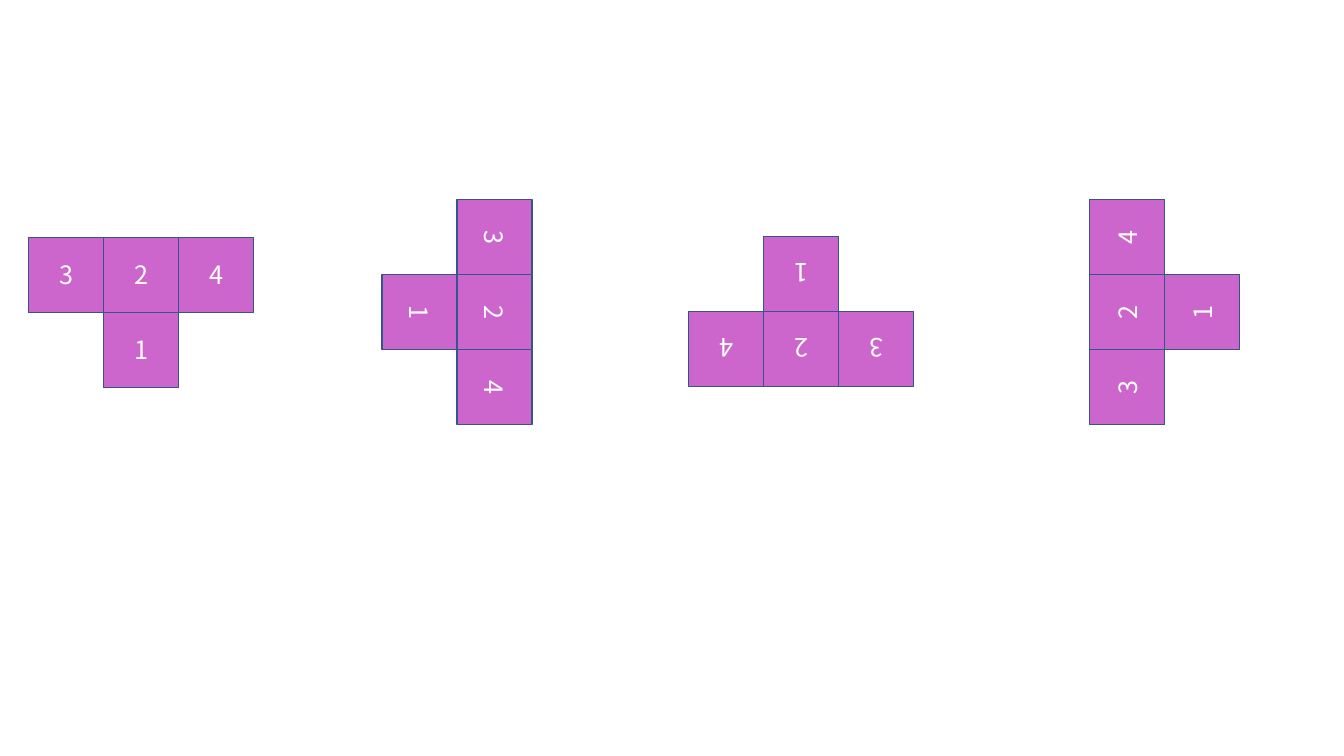
from pptx import Presentation
from pptx.dml.color import RGBColor
from pptx.enum.shapes import MSO_SHAPE
from pptx.enum.text import MSO_ANCHOR, PP_ALIGN
from pptx.util import Cm, Pt

COLORS = {"tile": "CC66CC", "outline": "325491", "digit": "FFFFFF"}
FONT = "Noto Sans CJK SC"
TILE = 1.89
OFFSETS_FROM_CENTER = {"3": (-1, 0), "1": (0, 1), "4": (1, 0), "2": (0, 0)}
PIECES = [(0.72, 5.98, 0), (27.46, 5.03, 3), (9.63, 5.03, 1), (17.35, 5.96, 2)]


def color(name):
    """Return the named colour."""
    return RGBColor.from_string(COLORS[name])


def add_tile(shapes, digit, left, top, angle):
    """Add one numbered square, turned by the angle in degrees."""
    tile = shapes.add_shape(MSO_SHAPE.RECTANGLE, Cm(left), Cm(top), Cm(TILE), Cm(TILE))
    tile.rotation = angle
    tile.shadow.inherit = False
    tile.fill.solid()
    tile.fill.fore_color.rgb = color("tile")
    tile.line.color.rgb = color("outline")
    tile.line.width = Pt(1)
    tile.text_frame.vertical_anchor = MSO_ANCHOR.MIDDLE
    paragraph = tile.text_frame.paragraphs[0]
    paragraph.alignment = PP_ALIGN.CENTER
    run = paragraph.add_run()
    run.text = digit
    run.font.size = Pt(18)
    run.font.name = FONT
    run.font.color.rgb = color("digit")


def add_t_piece(slide, left, top, quarter_turns):
    """Add a grouped T piece, turned clockwise, with its bounding box at left, top."""
    cells = dict(OFFSETS_FROM_CENTER)
    for _ in range(quarter_turns):
        cells = {digit: (-y, x) for digit, (x, y) in cells.items()}
    first_column = min(x for x, _ in cells.values())
    first_row = min(y for _, y in cells.values())
    group = slide.shapes.add_group_shape()
    for digit, (x, y) in cells.items():
        add_tile(group.shapes, digit, left + (x - first_column) * TILE,
                 top + (y - first_row) * TILE, 90 * quarter_turns)


def main():
    """Build the slide with the four rotations of the T piece."""
    deck = Presentation()
    deck.slide_width, deck.slide_height = Cm(33.87), Cm(19.05)
    slide = deck.slides.add_slide(deck.slide_layouts[6])
    for left, top, quarter_turns in PIECES:
        add_t_piece(slide, left, top, quarter_turns)
    deck.save("out.pptx")


main()
